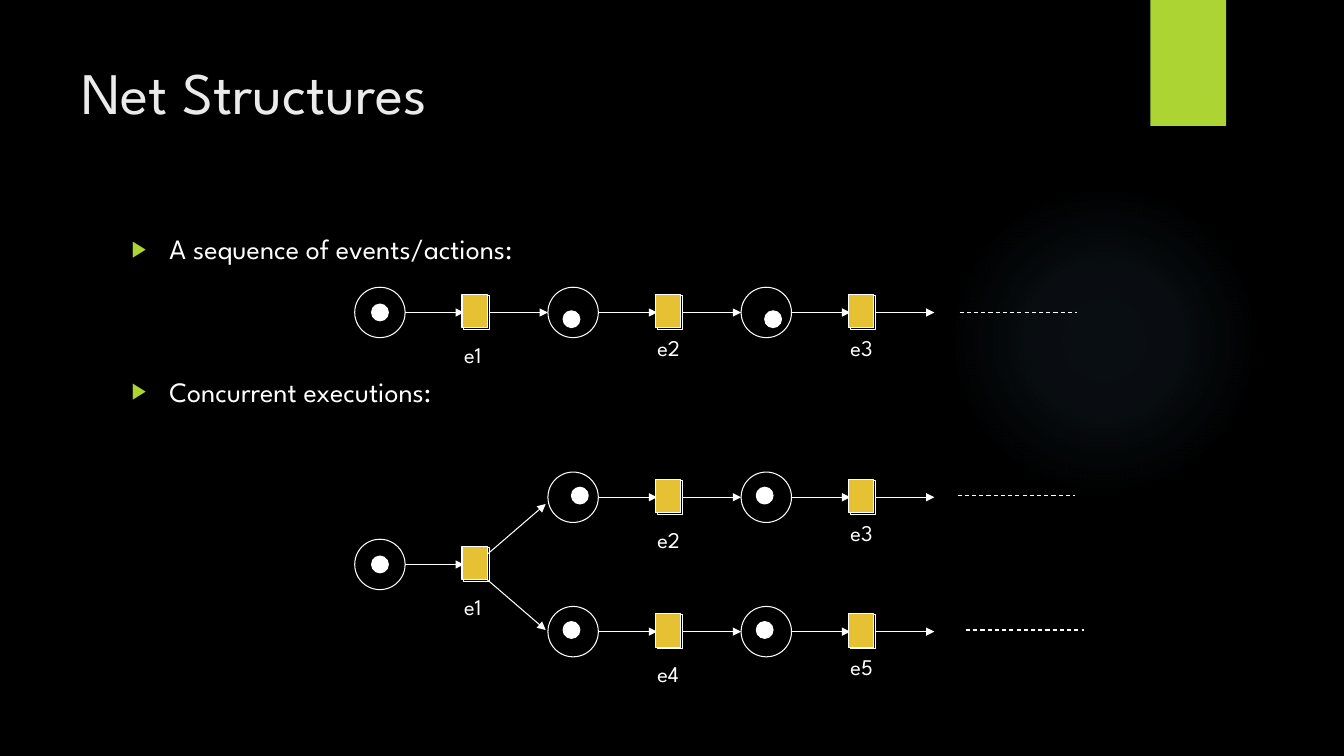
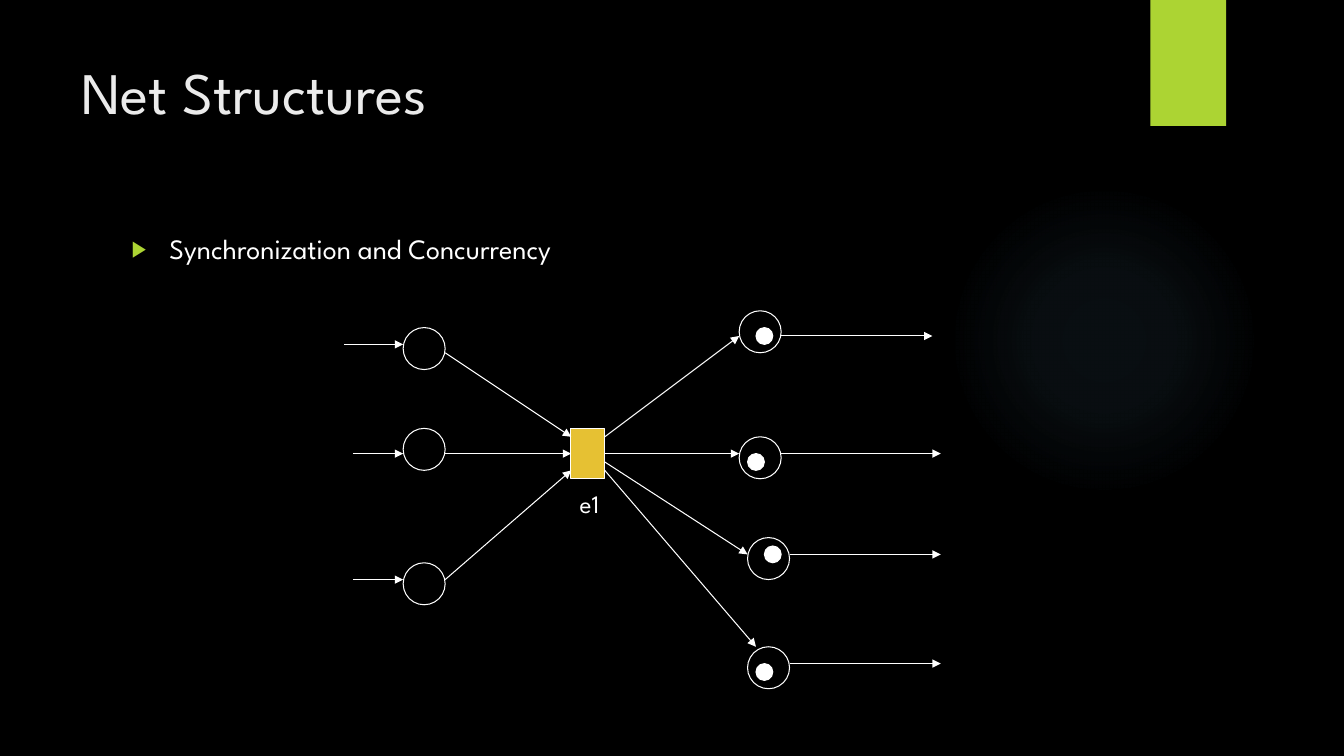
from lxml import etree
from pptx import Presentation
from pptx import util as u
from pptx.dml import color as dml
from pptx.enum import dml as lines, shapes, text
from pptx.oxml import ns

COLORS = {
    "back": "000000",
    "title": "EBEBEB",
    "ink": "FFFFFF",
    "accent": "ACD433",
    "event": "E6C133",
    "glow": "7AC4F0",
}
FONT = "League Spartan"
RECT = shapes.MSO_SHAPE.RECTANGLE
OVAL = shapes.MSO_SHAPE.OVAL


def rgb(name):
    return dml.RGBColor.from_string(COLORS[name])


def child(parent, tag, **attributes):
    return etree.SubElement(parent, ns.qn(tag), {k: str(v) for k, v in attributes.items()})


def write(box, words, size=16, color="ink", bullet=False, before=0):
    frame = box.text_frame
    para = frame.add_paragraph() if frame.text else frame.paragraphs[0]
    if bullet:
        props = para._p.get_or_add_pPr()
        props.set("marL", str(u.Pt(27)))
        props.set("indent", str(-u.Pt(27)))
        child(child(props, "a:buClr"), "a:srgbClr", val=COLORS["accent"])
        child(props, "a:buSzPct", val=80000)
        child(props, "a:buFont", typeface="Arial")
        child(props, "a:buChar", char="▶")
    if before:
        para.space_before = u.Pt(before)
    span = para.add_run()
    span.text = words
    span.font.size = u.Pt(size)
    span.font.name = FONT
    span.font.color.rgb = rgb(color)


class NetDeck:
    def __init__(self):
        self.deck = Presentation()
        self.deck.slide_width, self.deck.slide_height = u.Pt(960), u.Pt(540)
        self.page = None

    def start(self, title, bullets):
        self.page = self.deck.slides.add_slide(self.deck.slide_layouts[6])
        back = self.page.background.fill
        back.solid()
        back.fore_color.rgb = rgb("back")
        self.glow(677.5, 132, 222)
        self.shape(RECT, 821.8, 0, 54, 90, fill="accent", line=None)
        write(self.box(51, 36, 740, 110), title, size=42, color="title")
        body = self.box(87, 162, 704, 330)
        for index, words in enumerate(bullets):
            write(body, words, size=20, bullet=True, before=78 * index)

    def box(self, left, top, width, height, wrap=True):
        box = self.page.shapes.add_textbox(u.Pt(left), u.Pt(top), u.Pt(width), u.Pt(height))
        box.text_frame.word_wrap = wrap
        if not wrap:
            box.text_frame.auto_size = text.MSO_AUTO_SIZE.SHAPE_TO_FIT_TEXT
        return box

    def label(self, left, top, words, size=16):
        write(self.box(left, top, 2.1 * size, 1.65 * size, wrap=False), words, size=size)

    def shape(self, kind, left, top, width, height, fill=None, line="ink"):
        shape = self.page.shapes.add_shape(kind, u.Pt(left), u.Pt(top), u.Pt(width), u.Pt(height))
        shape.shadow.inherit = False
        if fill:
            shape.fill.solid()
            shape.fill.fore_color.rgb = rgb(fill)
        else:
            shape.fill.background()
        if line:
            shape.line.color.rgb = rgb(line)
            shape.line.width = u.Pt(0.75)
        else:
            shape.line.fill.background()
        return shape

    def glow(self, left, top, size):
        shape = self.shape(OVAL, left, top, size, size, line=None)
        shape.fill.gradient()
        grad = shape._element.spPr.find(ns.qn("a:gradFill"))
        for part in list(grad):
            grad.remove(part)
        stops = child(grad, "a:gsLst")
        for position, alpha in ((0, 7), (36, 6), (69, 0)):
            stop = child(stops, "a:gs", pos=position * 1000)
            tint = child(stop, "a:srgbClr", val=COLORS["glow"])
            child(tint, "a:alpha", val=alpha * 1000)
        path = child(grad, "a:path", path="circle")
        child(path, "a:fillToRect", l=50000, t=50000, r=50000, b=50000)

    def place(self, left, top, size):
        self.shape(OVAL, left, top, size, size)

    def token(self, left, top):
        self.shape(OVAL, left, top, 12, 12, fill="ink")

    def line(self, x1, y1, x2, y2, dashed=False):
        line = self.page.shapes.add_connector(
            shapes.MSO_CONNECTOR.STRAIGHT, u.Pt(x1), u.Pt(y1), u.Pt(x2), u.Pt(y2))
        line.line.color.rgb = rgb("ink")
        line.line.width = u.Pt(0.75)
        if dashed:
            line.line.dash_style = lines.MSO_LINE.DASH
        else:
            child(line.line._get_or_add_ln(), "a:tailEnd", type="triangle")
        child(line._element.spPr, "a:effectLst")

    def step(self, column, y, event, drop, shift, leads_on=True):
        left = 253.4 + 138 * column
        bar = left + 78
        self.shape(RECT, bar, y - 12, 18, 24)
        self.place(left, y - 18, 36)
        self.line(left + 36, y, bar, y)
        if leads_on:
            self.line(bar + 18, y, left + 138, y)
        self.label(bar - 7, y + drop, event)
        self.token(left + 12 + shift[0], y - 6 + shift[1])
        self.shape(RECT, bar - 1.4, y - 13, 18, 24, fill="event")


def sequence_slide(net):
    net.start("Net Structures", ["A sequence of events/actions:", "Concurrent executions:"])
    sequence, fork, upper, lower = 223.2, 403.2, 355.2, 451.2
    low, near = 16.8, 12
    net.step(0, sequence, "e1", low, (0, 0))
    net.step(1, sequence, "e2", near, (-1.2, 4.8))
    net.step(2, sequence, "e3", near, (4.8, 4.8))
    net.step(0, fork, "e1", low, (0, 0), leads_on=False)
    net.step(1, upper, "e2", low, (4.8, -1.2))
    net.step(2, upper, "e3", near, (-1.2, -1.2))
    net.step(1, lower, "e4", low, (-1.2, -1.2))
    net.step(2, lower, "e5", near, (-1.2, -1.2))
    net.line(348, 396, 389.8, 360)
    net.line(348, 414, 389.8, 450)
    for x, y in ((685.4, sequence), (684, 354.2), (690, 450)):
        net.line(x, y, x + 84, y, dashed=True)


def synchronization_slide(net):
    net.start("Net Structures", ["Synchronization and Concurrency"])
    net.shape(RECT, 407.8, 306, 24, 36, fill="event")
    net.label(407, 345, "e1", size=18)
    inputs = (
        (234, 246, 246, 252, 312),
        (306, 252, 324, 324, 324),
        (402, 252, 414, 414, 336),
    )
    for top, start, entry, leave, arrive in inputs:
        net.place(288, top, 30)
        net.line(start, entry, 288, entry)
        net.line(318, leave, 408, arrive)
    outputs = (
        (528, 222, 312, (528, 240), 240, 666, (540, 234)),
        (528, 312, 324, (528, 324), 324, 672, (534, 324)),
        (534, 384, 330, (534, 396), 396, 672, (546, 390)),
        (534, 462, 336, (540, 462), 474, 672, (540, 474)),
    )
    for left, top, leave, arrive, way_out, end, token in outputs:
        net.place(left, top, 30)
        net.line(432, leave, *arrive)
        net.line(left + 30, way_out, end, way_out)
        net.token(*token)


def main():
    net = NetDeck()
    sequence_slide(net)
    synchronization_slide(net)
    net.deck.save("out.pptx")


if __name__ == "__main__":
    main()
